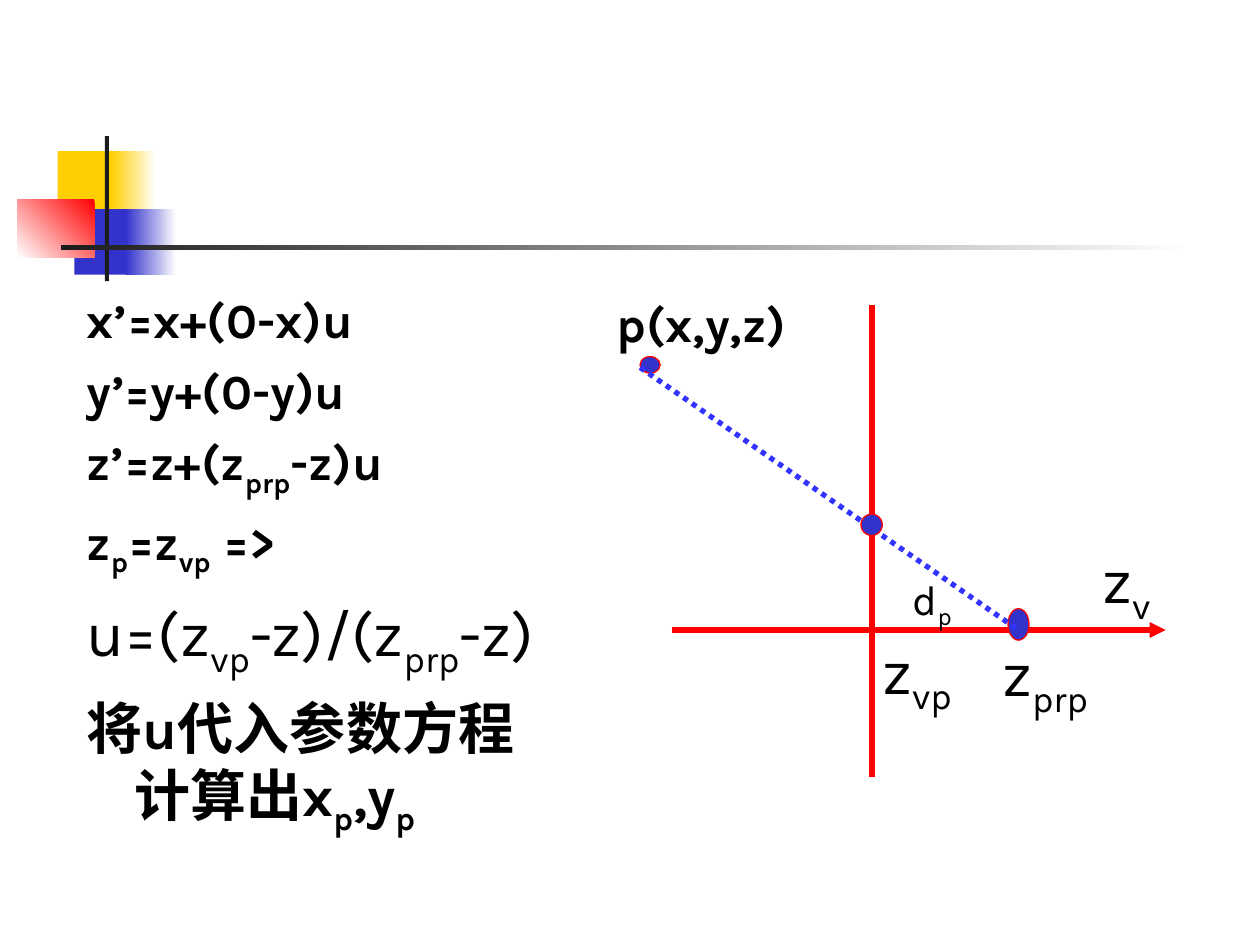
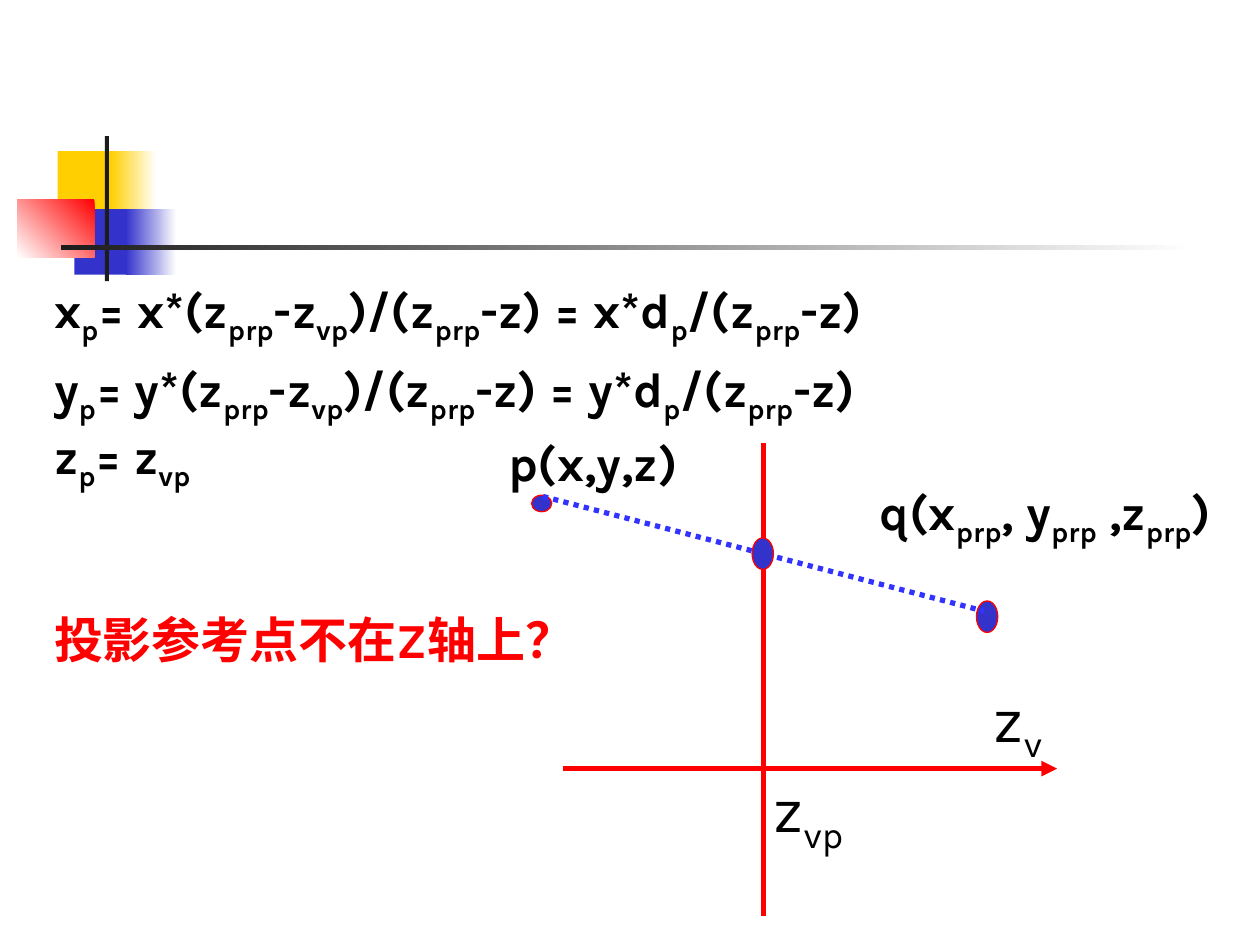
from dataclasses import dataclass
from typing import NamedTuple, Optional

from lxml import etree
from pptx import Presentation
from pptx.dml.color import RGBColor
from pptx.enum.dml import MSO_LINE
from pptx.enum.shapes import MSO_CONNECTOR, MSO_SHAPE
from pptx.enum.text import MSO_ANCHOR, PP_ALIGN
from pptx.oxml.ns import qn
from pptx.slide import Slide
from pptx.util import Pt

RECT, OVAL = MSO_SHAPE.RECTANGLE, MSO_SHAPE.OVAL
STRAIGHT = MSO_CONNECTOR.STRAIGHT
DOTTED = MSO_LINE.ROUND_DOT
LEFT, CENTER = PP_ALIGN.LEFT, PP_ALIGN.CENTER
TOP, MIDDLE = MSO_ANCHOR.TOP, MSO_ANCHOR.MIDDLE

BLACK = RGBColor(0x00, 0x00, 0x00)
WHITE = RGBColor(0xFF, 0xFF, 0xFF)
INK = RGBColor(0x1C, 0x1C, 0x1C)
GOLD = RGBColor(0xFF, 0xCF, 0x01)
BLUE = RGBColor(0x33, 0x33, 0xCC)
RAY = RGBColor(0x33, 0x33, 0xFF)
RED = RGBColor(0xFF, 0x00, 0x00)
FACE = "Karla"
HANG = 27


class Box(NamedTuple):
    x: float
    y: float
    w: float
    h: float

    def move(self, dx: float, dy: float) -> "Box":
        return Box(self.x + dx, self.y + dy, self.w, self.h)


class Point(NamedTuple):
    x: float
    y: float


@dataclass
class Band:
    box: Box
    start: RGBColor
    end: Optional[RGBColor] = None
    angle: float = 180


@dataclass
class Line:
    """Text whose every second part between bars is a subscript."""
    text: str
    size: float = 28
    bold: bool = True
    color: RGBColor = BLACK
    gap: float = 0


BANDS = [
    Band(Box(33, 86.4, 34.6, 37.4), GOLD),
    Band(Box(63.4, 86.4, 25.9, 37.4), WHITE, GOLD),
    Band(Box(42.5, 119.5, 33.1, 37.4), BLUE),
    Band(Box(72, 119.5, 28.8, 37.4), WHITE, BLUE),
    Band(Box(10, 113.8, 44, 33.1), RED, WHITE, 225),
    Band(Box(60, 77.8, 2.2, 82.8), INK),
    Band(Box(34.6, 140.2, 648, 2.4), WHITE, INK),
]

# Boxes are measured from the crossing of the two axes.
AXIS_TEXT = [
    (Line("z|v", 36, False), Box(127.45, -51.1, 36, 49)),
    (Line("z|vp", 36, False), Box(3.75, 0.7, 44, 49)),
    (Line("p(x,y,z)"), Box(-151.5, -192.2, 108, 33.8)),
]
P_DOT = Box(-132.5, -156.2, 11.5, 9.4)

SOLVE = [
    Line("x’=x+(0-x)u"),
    Line("y’=y+(0-y)u", gap=7),
    Line("z’=z+(z|prp|-z)u", gap=7),
    Line("z|p|=z|vp| =>", gap=7),
    Line("u=(z|vp|-z)/(z|prp|-z)", 36, False, gap=9),
    Line("将u代入参数方程计算出x|p|,y|p", 32, gap=8),
]
RESULT = [
    Line("x|p|= x*(z|prp|-z|vp|)/(z|prp|-z) = x*d|p|/(z|prp|-z)"),
    Line("y|p|= y*(z|prp|-z|vp|)/(z|prp|-z) = y*d|p|/(z|prp|-z)", gap=7),
    Line("z|p|= z|vp"),
    Line("投影参考点不在Z轴上？", color=RED, gap=67),
]


def add_text(slide: Slide, box: Box, lines: list[Line], *, align=CENTER,
             anchor=MIDDLE, inset: tuple[float, float] = (0, 0),
             wrap: bool = False, hang: float = 0) -> None:
    frame = slide.shapes.add_textbox(*map(Pt, box)).text_frame
    frame.word_wrap = wrap
    frame.vertical_anchor = anchor
    frame.margin_left = frame.margin_right = Pt(inset[0])
    frame.margin_top = frame.margin_bottom = Pt(inset[1])
    for i, line in enumerate(lines):
        para = frame.add_paragraph() if i else frame.paragraphs[0]
        para.alignment = align
        if line.gap:
            para.space_before = Pt(line.gap)
        if hang:
            props = para._p.get_or_add_pPr()
            props.set("marL", str(Pt(hang)))
            props.set("indent", str(-Pt(hang)))
        for k, part in enumerate(line.text.split("|")):
            run = para.add_run()
            run.text = part
            font = run.font
            font.size, font.bold = Pt(line.size), line.bold
            font.color.rgb = line.color
            font.name = FACE
            props = run._r.get_or_add_rPr()
            etree.SubElement(props, qn("a:ea"), typeface=FACE)
            if k % 2:
                props.set("baseline", "-25000")


def add_body(slide: Slide, box: Box, lines: list[Line]) -> None:
    add_text(slide, box, lines, align=LEFT, anchor=TOP,
             inset=(7.2, 3.6), wrap=True, hang=HANG)


def add_bands(slide: Slide) -> None:
    for band in BANDS:
        shape = slide.shapes.add_shape(RECT, *map(Pt, band.box))
        shape.shadow.inherit = False
        shape.line.fill.background()
        fill = shape.fill
        if band.end is None:
            fill.solid()
            fill.fore_color.rgb = band.start
            continue
        fill.gradient()
        fill.gradient_angle = band.angle
        for stop, color, place in zip(fill.gradient_stops,
                                      (band.start, band.end), (0, 1)):
            stop.color.rgb = color
            stop.position = place


def add_dot(slide: Slide, box: Box) -> None:
    dot = slide.shapes.add_shape(OVAL, *map(Pt, box))
    dot.shadow.inherit = False
    dot.fill.solid()
    dot.fill.fore_color.rgb = BLUE
    dot.line.color.rgb = RED
    dot.line.width = Pt(0.75)


def add_line(slide: Slide, start: Point, end: Point, color: RGBColor = RED,
             dash=None, arrow: bool = False) -> None:
    link = slide.shapes.add_connector(STRAIGHT, *map(Pt, (*start, *end)))
    link.line.color.rgb = color
    link.line.width = Pt(3)
    if dash is not None:
        link.line.dash_style = dash
    if arrow:
        etree.SubElement(link.line._get_or_add_ln(), qn("a:tailEnd"),
                         type="triangle")
    etree.SubElement(link._element.spPr, qn("a:effectLst"))


def add_axes(slide: Slide, zero: Point) -> None:
    """Draw both axes, their labels and point p around the crossing."""
    x, y = zero
    add_line(slide, Point(x - 114.5, y), Point(x + 167.75, y), arrow=True)
    add_line(slide, Point(x, y - 185.8), Point(x, y + 84.2))
    add_dot(slide, P_DOT.move(x, y))
    for line, box in AXIS_TEXT:
        add_text(slide, box.move(x, y), [line])


def add_ray(slide: Slide, start: Point, end: Point) -> None:
    add_line(slide, start, end, RAY, DOTTED)


def draw_solve(slide: Slide) -> None:
    add_body(slide, Box(42.5, 162, 282.2, 336.2), SOLVE)
    add_axes(slide, Point(498.25, 360))
    add_dot(slide, Box(576, 347.8, 12, 18))
    add_ray(slide, Point(365.8, 210), Point(582, 360))
    add_dot(slide, Box(492, 293.8, 12.2, 12.2))
    add_text(slide, Box(569.25, 362.2, 56, 49), [Line("z|prp", 36, False)])
    add_text(slide, Box(514.5, 324, 42, 40.3), [Line("d|p", 24, False)],
             align=LEFT, anchor=TOP, inset=(7.2, 3.6))


def draw_result(slide: Slide) -> None:
    add_body(slide, Box(23.8, 156.2, 666, 246.2), RESULT)
    add_axes(slide, Point(436.3, 439.2))
    add_dot(slide, Box(558, 343.4, 12.2, 18))
    add_ray(slide, Point(310.3, 283.7), Point(562.3, 349.2))
    add_text(slide, Box(497.3, 275, 200, 38.2),
             [Line("q(x|prp|, y|prp| ,z|prp|)")])
    add_dot(slide, Box(429.8, 307.4, 12.2, 18))


def main() -> None:
    deck = Presentation()
    deck.slide_width, deck.slide_height = Pt(720), Pt(540)
    for draw in (draw_solve, draw_result):
        slide = deck.slides.add_slide(deck.slide_layouts[6])
        add_bands(slide)
        draw(slide)
    deck.save("out.pptx")


if __name__ == "__main__":
    main()
